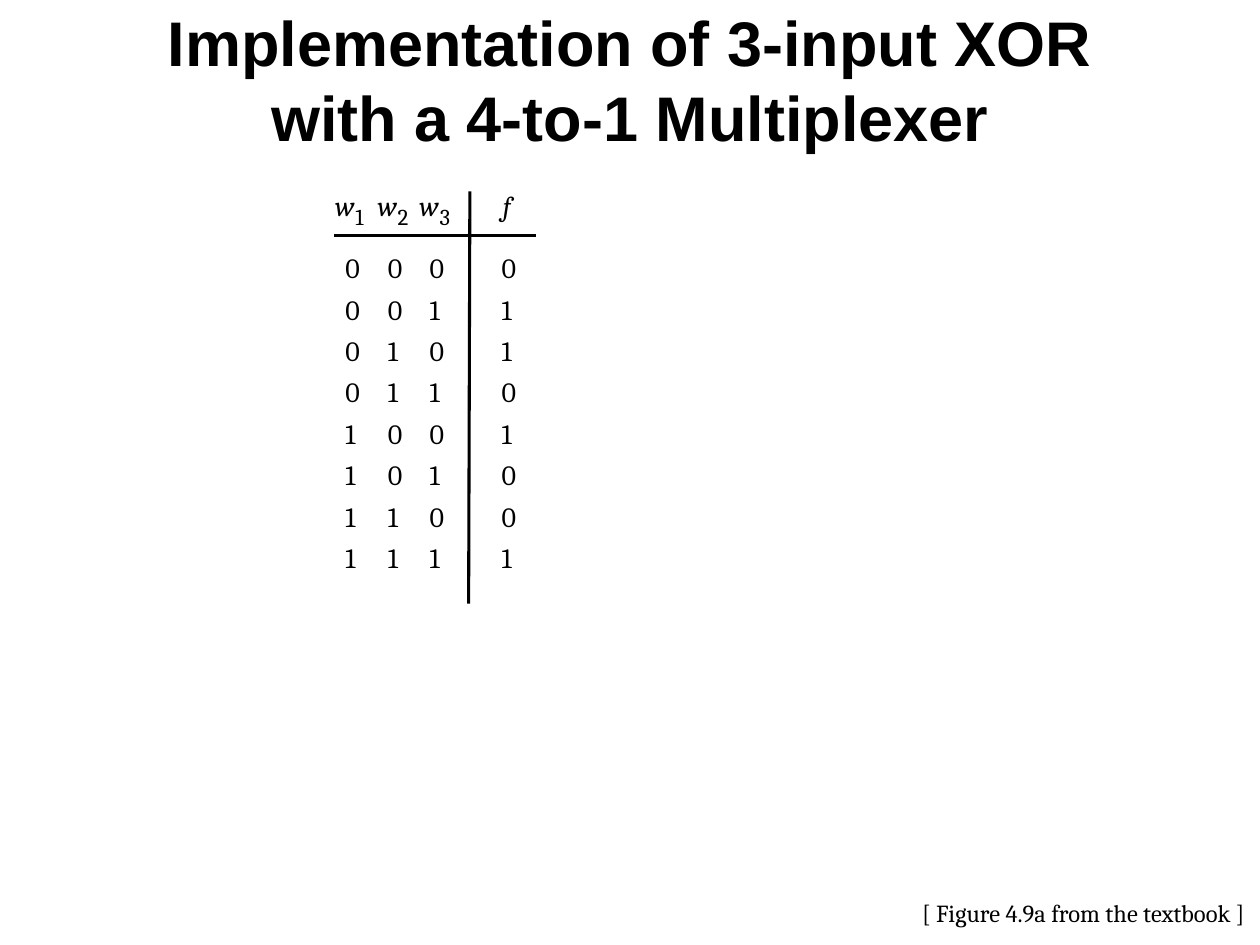
"""Build a slide with the truth table of a 3-input XOR."""
from lxml import etree
from pptx import Presentation
from pptx.dml.color import RGBColor
from pptx.enum.shapes import MSO_CONNECTOR
from pptx.enum.text import MSO_ANCHOR, MSO_AUTO_SIZE, PP_ALIGN
from pptx.oxml.ns import qn
from pptx.util import Pt

STRAIGHT = MSO_CONNECTOR.STRAIGHT
MIDDLE = MSO_ANCHOR.MIDDLE
GROW, FIXED = MSO_AUTO_SIZE.SHAPE_TO_FIT_TEXT, MSO_AUTO_SIZE.NONE
LEFT, CENTER = PP_ALIGN.LEFT, PP_ALIGN.CENTER

TITLE = "Implementation of 3-input XOR\nwith a 4-to-1 Multiplexer"
CREDIT = "[ Figure 4.9a from the textbook ]"
INPUTS = ["1", "2", "3"]
TRUTH_ROWS = ["0000", "0011", "0101", "0110", "1001", "1010", "1100", "1111"]
RULES = [((306, 134.6), (190.8, 134.6)), ((267.8, 344.9), (268.5, 109.4))]

THEME = {
    "ink": RGBColor(0, 0, 0),
    "rule": Pt(1.75),
    "title": {"name": "Arial", "size": Pt(36), "bold": True},
    "credit": {"name": "Cambria", "size": Pt(14)},
    "digit": {"name": "Cambria", "size": Pt(16)},
    "variable": {"name": "Cambria", "size": Pt(16), "italic": True},
    "subscript": {"name": "Cambria", "size": Pt(13)},
}

COLUMN_LEFTS = [197.4, 221.6, 245.5, 286.6]
FIRST_ROW_TOP, ROW_PITCH = 143.3, 23.66
HEADER_TOP, SUBSCRIPT_TOP = 108, 115.9
VARIABLE_SHIFT, SUBSCRIPT_SHIFT, OUTPUT_SHIFT = -5.8, 5.7, 0.7


def add_text(slide, text, style, box, inset=None, wrap=False, align=LEFT):
    """Add one text box in a theme style."""
    shape = slide.shapes.add_textbox(*map(Pt, box))
    frame = shape.text_frame
    frame.word_wrap = wrap
    frame.auto_size = FIXED if wrap else GROW
    if wrap:
        frame.vertical_anchor = MIDDLE
    if inset is not None:
        for side in ("left", "top", "right", "bottom"):
            setattr(frame, f"margin_{side}", Pt(inset))
    paragraph = frame.paragraphs[0]
    paragraph.text = text
    paragraph.alignment = align
    for run in paragraph.runs:
        for name, value in THEME[style].items():
            setattr(run.font, name, value)
        run.font.color.rgb = THEME["ink"]


def add_rule(slide, start, end):
    """Add one straight table rule."""
    connector = slide.shapes.add_connector(STRAIGHT, *map(Pt, start + end))
    connector.line.color.rgb = THEME["ink"]
    connector.line.width = THEME["rule"]
    etree.SubElement(connector._element.spPr, qn("a:effectLst"))


def add_truth_table(slide):
    """Add the rules, the headings and the digits."""
    for start, end in RULES:
        add_rule(slide, start, end)
    for left, number in zip(COLUMN_LEFTS, INPUTS):
        add_text(slide, "w", "variable", (left + VARIABLE_SHIFT, HEADER_TOP, 14.4, 19.4), 0)
        add_text(slide, number, "subscript", (left + SUBSCRIPT_SHIFT, SUBSCRIPT_TOP, 10.1, 15.8), 0)
    add_text(slide, "f", "variable", (COLUMN_LEFTS[-1] + OUTPUT_SHIFT, HEADER_TOP, 8.6, 19.4), 0)
    for index, digits in enumerate(TRUTH_ROWS):
        top = FIRST_ROW_TOP + index * ROW_PITCH
        for left, digit in zip(COLUMN_LEFTS, digits):
            add_text(slide, digit, "digit", (left, top, 12.2, 19.4), 0)


def main():
    """Build and save the presentation."""
    presentation = Presentation()
    presentation.slide_width, presentation.slide_height = Pt(720), Pt(540)
    slide = presentation.slides.add_slide(presentation.slide_layouts[6])
    add_truth_table(slide)
    add_text(slide, TITLE, "title", (0, 0, 720, 90), wrap=True, align=CENTER)
    add_text(slide, CREDIT, "credit", (519.8, 509.8, 200.2, 24.5))
    presentation.save("out.pptx")


if __name__ == "__main__":
    main()
